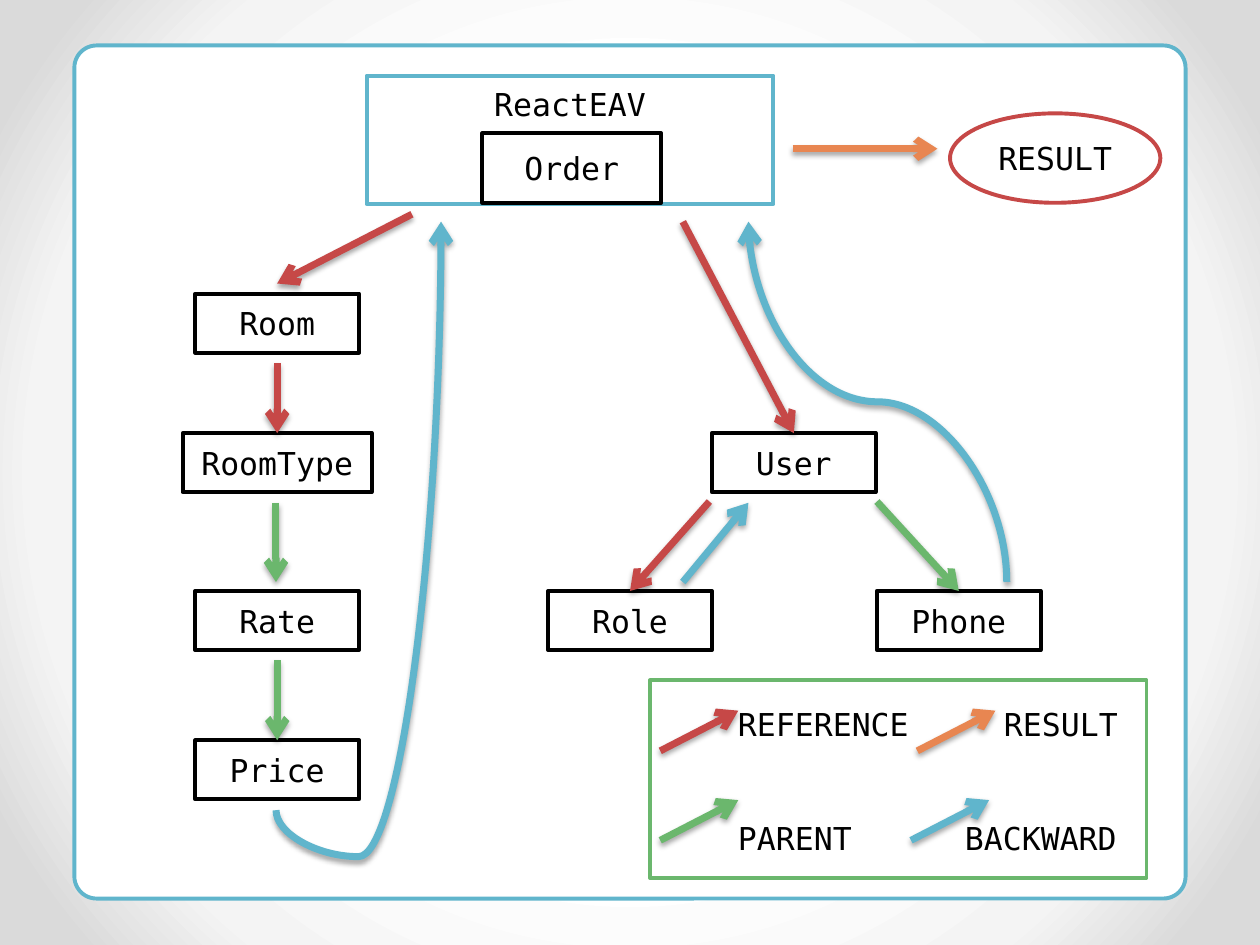
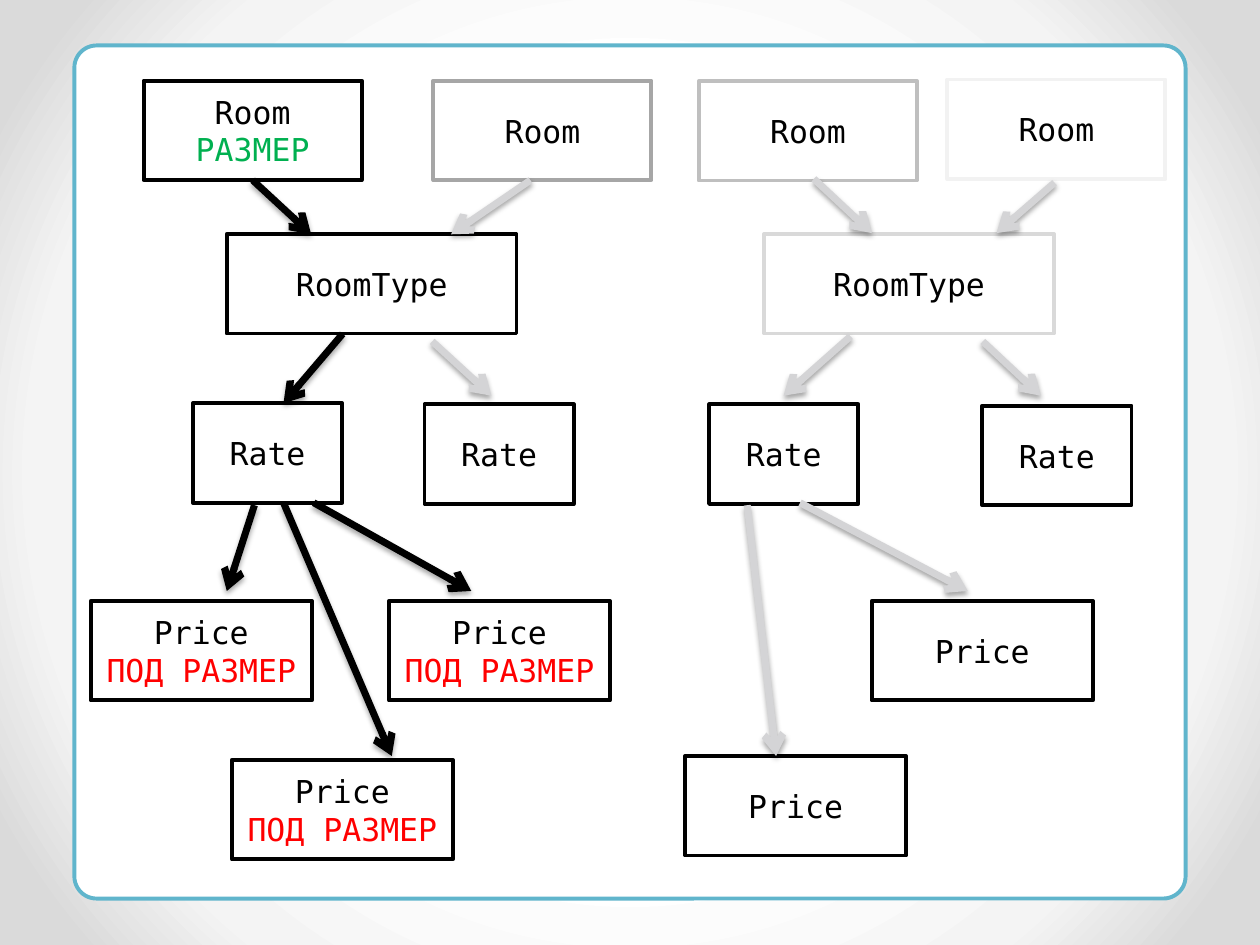
from pptx import Presentation
from pptx import util as u
from pptx.dml import color
from pptx.enum import shapes, text
from pptx.oxml import parse_xml
from pptx.oxml import ns

FONT = "DejaVu Sans Mono"
BLACK, WHITE = "000000", "FFFFFF"
BLUE, RED, GREEN, ORANGE = "60B5CC", "C64847", "6BB76D", "E88651"
PALE = "D4D4D6"
SIZE_GREEN, SIZE_RED = "00B050", "FF0000"
TOP, BOTTOM = 0, 2
NODE_HEIGHT, TREE_HEIGHT = 33.8, 56.9

BACKGROUND = f"""<p:bg {ns.nsdecls('p', 'a')}><p:bgPr><a:gradFill rotWithShape="1"><a:gsLst>
<a:gs pos="50000"><a:srgbClr val="FFFFFF"/></a:gs>
<a:gs pos="76000"><a:srgbClr val="F4F4F4"/></a:gs>
<a:gs pos="92000"><a:srgbClr val="DADADA"/></a:gs></a:gsLst>
<a:path path="circle"><a:fillToRect l="50000" t="50000" r="50000" b="50000"/></a:path>
</a:gradFill><a:effectLst/></p:bgPr></p:bg>"""
ARROWHEAD = f'<a:tailEnd {ns.nsdecls("a")} type="arrow"/>'
SHADOW = f"""<a:effectLst {ns.nsdecls('a')}>
<a:outerShdw blurRad="{u.Pt(3.1)}" dist="{u.Pt(1.8)}" dir="5400000" rotWithShape="0">
<a:srgbClr val="000000"><a:alpha val="35000"/></a:srgbClr></a:outerShdw></a:effectLst>"""


def points(*lengths):
    return [u.Pt(length) for length in lengths]


def paint(format_color, hex_color):
    format_color.rgb = color.RGBColor.from_string(hex_color)


def write(shape, lines, align=text.PP_ALIGN.CENTER):
    frame = shape.text_frame
    frame.word_wrap = True
    frame.vertical_anchor = text.MSO_ANCHOR.MIDDLE
    for index, (words, ink) in enumerate(lines):
        para = frame.add_paragraph() if index else frame.paragraphs[0]
        para.text = words
        para.alignment = align
        para.font.name = FONT
        para.font.size = u.Pt(18)
        paint(para.font.color, ink)


def add_box(parent, place, lines=(), outline=BLACK, kind=shapes.MSO_SHAPE.RECTANGLE):
    box = parent.shapes.add_shape(kind, *points(*place))
    box.shadow.inherit = False
    box.fill.solid()
    paint(box.fill.fore_color, WHITE)
    paint(box.line.color, outline)
    box.line.width = u.Pt(2.25)
    write(box, lines)
    return box


def add_label(slide, words, left, middle):
    label = slide.shapes.add_textbox(*points(left, middle - 12, 110, 24))
    label.text_frame.margin_left = label.text_frame.margin_right = 0
    write(label, [(words, BLACK)], text.PP_ALIGN.LEFT)


def style_arrow(arrow, ink):
    paint(arrow.line.color, ink)
    arrow.line.width = u.Pt(4)
    properties = arrow._element.spPr
    properties.find(ns.qn("a:ln")).append(parse_xml(ARROWHEAD))
    properties.append(parse_xml(SHADOW))


def add_arrow(slide, start, end, ink):
    arrow = slide.shapes.add_connector(shapes.MSO_CONNECTOR.STRAIGHT, *points(*start, *end))
    style_arrow(arrow, ink)
    return arrow


def add_arrow_to(slide, start, box, ink):
    add_arrow(slide, start, start, ink).end_connect(box, TOP)


def add_curve(slide, start, end, ink, turn, flips, bend=0.5):
    (start_x, start_y), (end_x, end_y) = start, end
    middle_x, middle_y = (start_x + end_x) / 2, (start_y + end_y) / 2
    half_width, half_height = abs(end_y - start_y) / 2, abs(end_x - start_x) / 2
    curve = slide.shapes.add_connector(
        shapes.MSO_CONNECTOR.CURVE,
        *points(middle_x - half_width, middle_y - half_height,
                middle_x + half_width, middle_y + half_height))
    properties = curve._element.spPr
    transform = properties.find(ns.qn("a:xfrm"))
    transform.set("rot", str(turn * 60000))
    for flip in flips:
        transform.set(flip, "1")
    guides = properties.find(ns.qn("a:prstGeom")).get_or_add_avLst()
    guides.append(parse_xml(
        f'<a:gd {ns.nsdecls("a")} name="adj1" fmla="val {round(bend * 100000)}"/>'))
    style_arrow(curve, ink)


def add_framed_slide(deck):
    slide = deck.slides.add_slide(deck.slide_layouts[6])
    slide._element.cSld.insert(0, parse_xml(BACKGROUND))
    frame = add_box(slide, (42.5, 26, 635, 487.5), outline=BLUE,
                    kind=shapes.MSO_SHAPE.ROUNDED_RECTANGLE)
    frame.adjustments[0] = 0.026
    return slide


def add_legend(slide):
    add_box(slide, (371.5, 388.8, 283.7, 113), outline=GREEN)
    upper, lower = (429.1, 413.8), (480.2, 478.9)
    for words, ink, arrow_left, label_left, (arrow_bottom, label_middle) in (
            ("REFERENCE", RED, 377.3, 421.7, upper),
            ("PARENT", GREEN, 377.3, 421.7, lower),
            ("BACKWARD", BLUE, 520.6, 551.4, lower),
            ("RESULT", ORANGE, 524.2, 573.7, upper)):
        add_arrow(slide, (arrow_left, arrow_bottom), (arrow_left + 44.6, arrow_bottom - 23), ink)
        add_label(slide, words, label_left, label_middle)


def build_relations(deck):
    slide = add_framed_slide(deck)
    group = slide.shapes.add_group_shape()
    store = add_box(group, (209.5, 43.2, 232.5, 73.4), [("ReactEAV", BLACK)], BLUE)
    store.text_frame.vertical_anchor = text.MSO_ANCHOR.TOP
    store.text_frame.margin_top = u.Pt(5.2)
    add_box(group, (275.6, 76.2, 102.2, 39.8), [("Order", BLACK)])

    nodes = {}
    for name, center, top, width in (
            ("Room", 158.4, 167.8, 93.6), ("RoomType", 158.4, 247.5, 108),
            ("Rate", 158.4, 337.7, 93.6), ("Price", 158.4, 423, 93.6),
            ("User", 453.6, 247.5, 93.6), ("Role", 360, 337.7, 93.6),
            ("Phone", 547.9, 337.7, 93.6)):
        nodes[name] = add_box(slide, (center - width / 2, top, width, NODE_HEIGHT),
                              [(name, BLACK)])
    add_box(slide, (542.9, 64.8, 120.2, 51.1), [("RESULT", BLACK)], RED,
            shapes.MSO_SHAPE.OVAL)

    for start, name, ink in (
            ((158.4, 207.4), "RoomType", RED), ((158.4, 377.3), "Price", GREEN),
            ((501.1, 286.6), "Phone", GREEN), ((405.4, 286.6), "Role", RED),
            ((390.2, 126.7), "User", RED)):
        add_arrow_to(slide, start, nodes[name], ink)
    for start, end, ink in (
            ((235.4, 122.4), (158.4, 162), RED), ((157.7, 287.3), (157.7, 332.6), GREEN),
            ((452.9, 85), (535.7, 85), ORANGE), ((390.2, 332.6), (427.7, 287.3), BLUE)):
        add_arrow(slide, start, end, ink)
    add_curve(slide, (157.7, 463), (252, 126.7), BLUE, 90, ("flipH", "flipV"), -0.079)
    add_curve(slide, (575.3, 332.6), (427.7, 126.7), BLUE, 270, ("flipV",))
    add_legend(slide)


def build_price_tree(deck):
    slide = add_framed_slide(deck)

    def add_node(name, width, left, top, outline=BLACK, note=()):
        return add_box(slide, (left, top, width, TREE_HEIGHT), [(name, BLACK), *note], outline)

    sized_room = add_node("Room", 124.6, 82.1, 46.1, note=[("РАЗМЕР", SIZE_GREEN)])
    for left, top, outline in ((247.7, 46.1, "A6A6A6"), (399.4, 46.3, "BFBFBF"),
                               (541.4, 45.4, "F2F2F2")):
        add_node("Room", 124.6, left, top, outline)
    for left, outline in ((129.6, BLACK), (436.7, "D9D9D9")):
        add_node("RoomType", 165.6, left, 133.7, outline)
    for left, top in ((110.2, 230.4), (242.6, 231.1), (405.2, 231.1), (561.3, 231.8)):
        add_node("Rate", 85.3, left, top)
    for left, top in ((51.9, 343.4), (222.3, 343.4), (132.5, 434.2)):
        add_node("Price", 126.3, left, top, note=[("ПОД РАЗМЕР", SIZE_RED)])
    for left, top in ((391.5, 432), (498.2, 343.4)):
        add_node("Price", 126.3, left, top)

    add_arrow(slide, (144.4, 103), (177.8, 133.9), BLACK).begin_connect(sized_room, BOTTOM)
    chosen = (((195.8, 190.8), (162, 230.4)), ((179.3, 287.3), (269.3, 337.7)),
              ((145.4, 288.7), (129.6, 337.7)), ((162, 287.3), (223.9, 432)))
    skipped = (((427, 288.7), (443.5, 432)), ((303.1, 103), (257.8, 133.9)),
               ((247, 195.1), (280.8, 226.1)), ((465.1, 102.2), (498.2, 133.2)),
               ((602.6, 104.4), (569.5, 133.2)), ((561.6, 195.1), (594.7, 226.1)),
               ((486, 192.2), (447.8, 226.1)), ((457.2, 287.3), (553, 337.7)))
    for ink, routes in ((BLACK, chosen), (PALE, skipped)):
        for start, end in routes:
            add_arrow(slide, start, end, ink)


def main():
    deck = Presentation()
    deck.slide_width, deck.slide_height = points(720, 540)
    build_relations(deck)
    build_price_tree(deck)
    deck.save("out.pptx")


if __name__ == "__main__":
    main()
